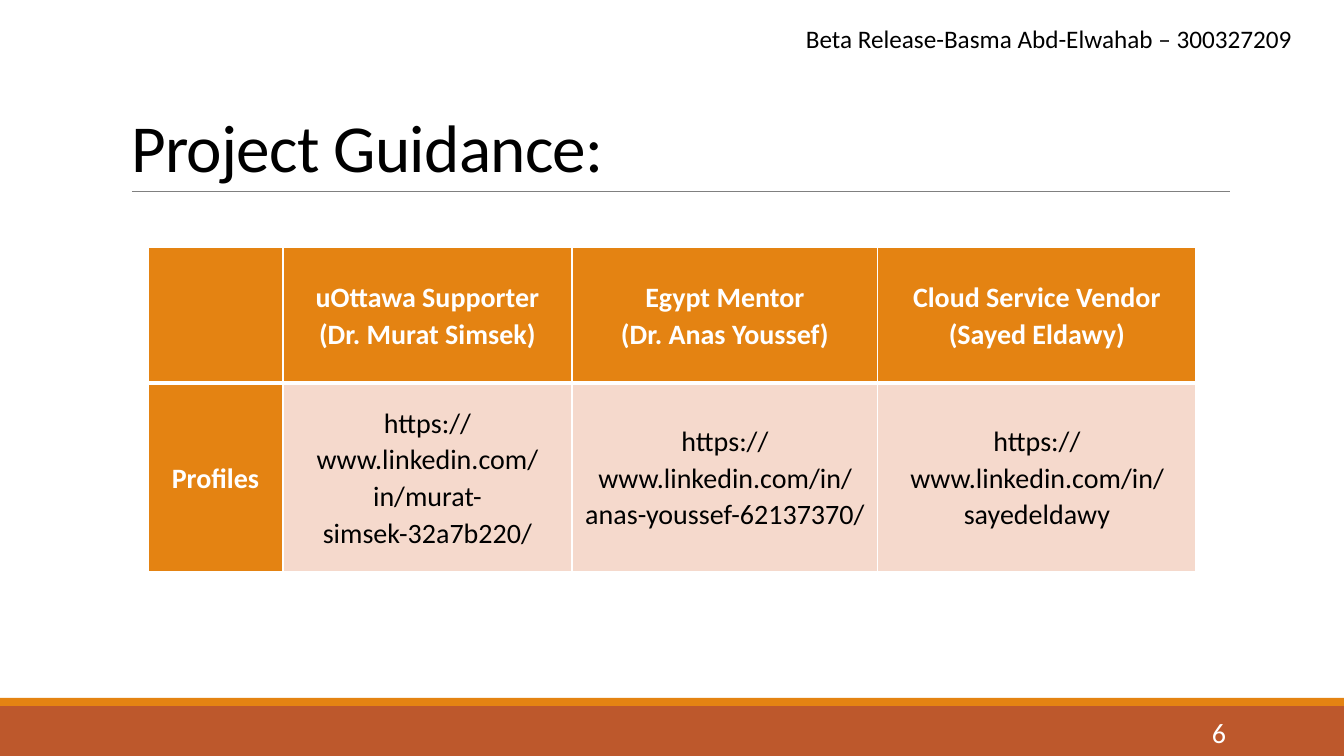
from dataclasses import dataclass
from lxml.etree import SubElement
from pptx import Presentation
from pptx.dml.color import RGBColor
from pptx.enum.shapes import MSO_CONNECTOR, MSO_SHAPE
from pptx.enum.text import MSO_ANCHOR, MSO_AUTO_SIZE, PP_ALIGN
from pptx.oxml.ns import qn
from pptx.util import Emu, Pt

FONT = "Calibri"
COLORS = {
    "white": "FFFFFF",
    "black": "000000",
    "orange": "E48312",
    "rust": "BD582C",
    "blush": "F5D9CC",
    "gray": "808080",
}


@dataclass
class Box:
    left: int
    top: int
    width: int
    height: int

    def place(self) -> tuple:
        return px(self.left), px(self.top), px(self.width), px(self.height)


@dataclass
class Band:
    box: Box
    color: str


@dataclass
class Label:
    box: Box
    text: str
    size: int
    color: str
    align: PP_ALIGN
    anchor: MSO_ANCHOR


BANDS = [
    Band(Box(0, 706, 1344, 50), "rust"),
    Band(Box(0, 698, 1344, 8), "orange"),
]
LABELS = [
    Label(Box(796, 18, 521, 72), "Beta Release-Basma Abd-Elwahab – 300327209",
          18, "black", PP_ALIGN.LEFT, MSO_ANCHOR.TOP),
    Label(Box(1092, 712, 144, 40), "6",
          20, "white", PP_ALIGN.RIGHT, MSO_ANCHOR.MIDDLE),
]
GRID = Box(148, 247, 1048, 325)
COLS = [135, 289, 306, 318]
ROWS = [136, 189]
CELLS = [
    ["", "uOttawa Supporter\n(Dr. Murat Simsek)",
     "Egypt Mentor\n(Dr. Anas Youssef)",
     "Cloud Service Vendor\n(Sayed Eldawy)"],
    ["Profiles", "https://www.linkedin.com/in/murat-simsek-32a7b220/",
     "https://www.linkedin.com/in/anas-youssef-62137370/",
     "https://www.linkedin.com/in/sayedeldawy"],
]


def px(count: int) -> Emu:
    return Emu(round(count * 914400 / 100.8))


def rgb(name: str) -> RGBColor:
    return RGBColor.from_string(COLORS[name])


def write(frame, text: str, *, size: int, color: str, bold: bool = False,
          align=PP_ALIGN.LEFT, anchor=MSO_ANCHOR.TOP,
          space: float = 1.0, track: int = 0) -> None:
    frame.word_wrap = True
    frame.vertical_anchor = anchor
    frame.text = text
    for para in frame.paragraphs:
        para.alignment = align
        para.line_spacing = space
        for run in para.runs:
            font = run.font
            font.name = FONT
            font.size = Pt(size)
            font.bold = bold
            font.color.rgb = rgb(color)
            if track:
                font._element.set("spc", str(track))


def draw_band(slide, band: Band) -> None:
    shape = slide.shapes.add_shape(MSO_SHAPE.RECTANGLE, *band.box.place())
    shape.shadow.inherit = False
    shape.fill.solid()
    shape.fill.fore_color.rgb = rgb(band.color)
    shape.line.fill.background()


def draw_rule(slide) -> None:
    rule = slide.shapes.add_connector(
        MSO_CONNECTOR.STRAIGHT, px(132), px(191), px(1230), px(191))
    rule.line.color.rgb = rgb("gray")
    rule.line.width = Pt(0.5)
    SubElement(rule._element.spPr, qn("a:effectLst"))


def draw_title(slide) -> None:
    title = slide.shapes.title
    title.left, title.top, title.width, title.height = Box(
        121, 31, 1109, 160).place()
    write(title.text_frame, "Project Guidance:", size=48, color="black",
          anchor=MSO_ANCHOR.BOTTOM, space=0.85, track=-50)
    title.text_frame.auto_size = MSO_AUTO_SIZE.NONE


def draw_label(slide, label: Label) -> None:
    box = slide.shapes.add_textbox(*label.box.place())
    write(box.text_frame, label.text, size=label.size, color=label.color,
          align=label.align, anchor=label.anchor)


def set_edges(cell, sides: dict[str, int]) -> None:
    props = cell._tc.get_or_add_tcPr()
    for side, width in sides.items():
        line = SubElement(props, qn(f"a:ln{side}"), w=str(Pt(width)))
        fill = SubElement(line, qn("a:solidFill"))
        SubElement(fill, qn("a:srgbClr"), val=COLORS["white"])


def draw_table(slide) -> None:
    table = slide.shapes.add_table(
        len(ROWS), len(COLS), *GRID.place()).table
    for col, width in zip(table.columns, COLS):
        col.width = px(width)
    for row, height in zip(table.rows, ROWS):
        row.height = px(height)
    for r, texts in enumerate(CELLS):
        for c, text in enumerate(texts):
            cell = table.cell(r, c)
            head = r == 0 or c == 0
            cell.margin_left = cell.margin_right = px(7)
            cell.margin_top = cell.margin_bottom = 0
            cell.vertical_anchor = MSO_ANCHOR.MIDDLE
            set_edges(cell, {"L": 1, "R": 1, "T": 3 if r else 1,
                             "B": 1 if r else 3})
            cell.fill.solid()
            cell.fill.fore_color.rgb = rgb("orange" if head else "blush")
            if text:
                write(cell.text_frame, text, size=20, bold=head,
                      color="white" if head else "black",
                      align=PP_ALIGN.CENTER, anchor=MSO_ANCHOR.MIDDLE,
                      space=1.07)


def main() -> None:
    deck = Presentation()
    deck.slide_width, deck.slide_height = px(1344), px(756)
    slide = deck.slides.add_slide(deck.slide_layouts[5])
    for band in BANDS:
        draw_band(slide, band)
    draw_rule(slide)
    draw_title(slide)
    draw_table(slide)
    for label in LABELS:
        draw_label(slide, label)
    deck.save("out.pptx")


if __name__ == "__main__":
    main()
